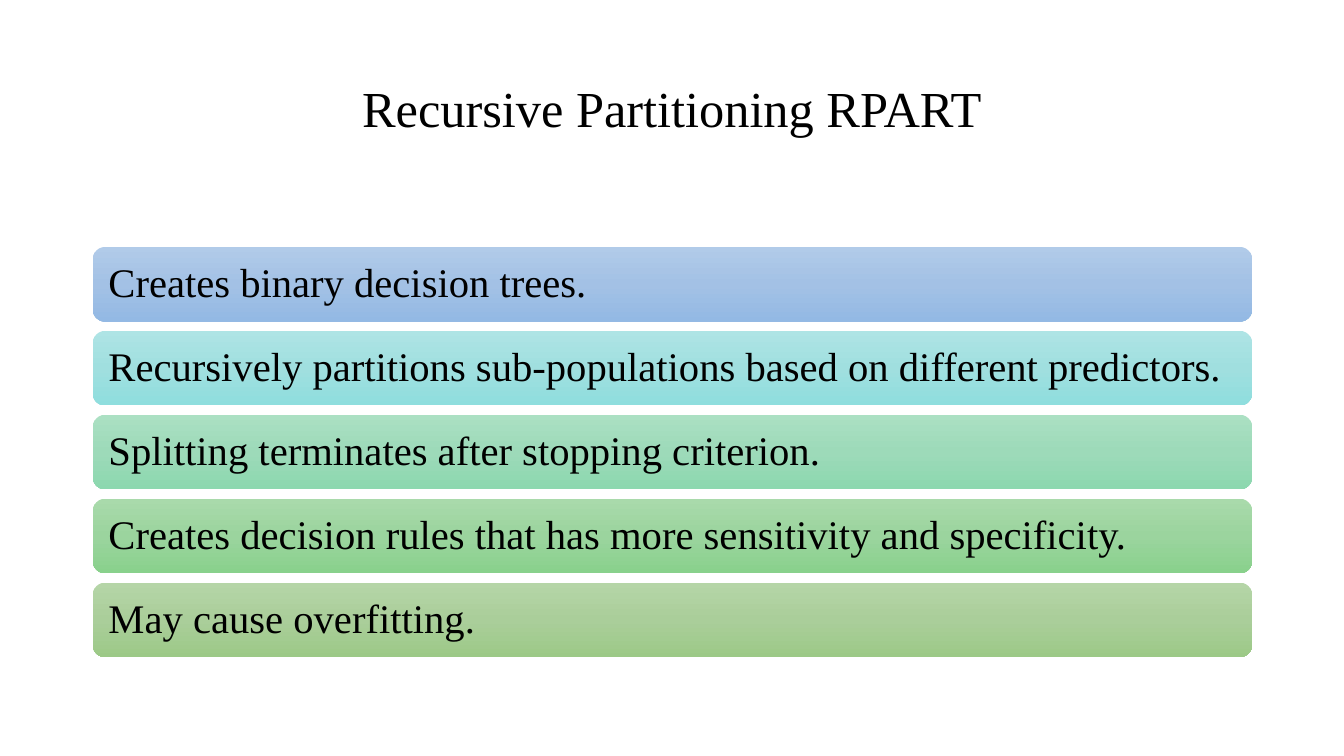
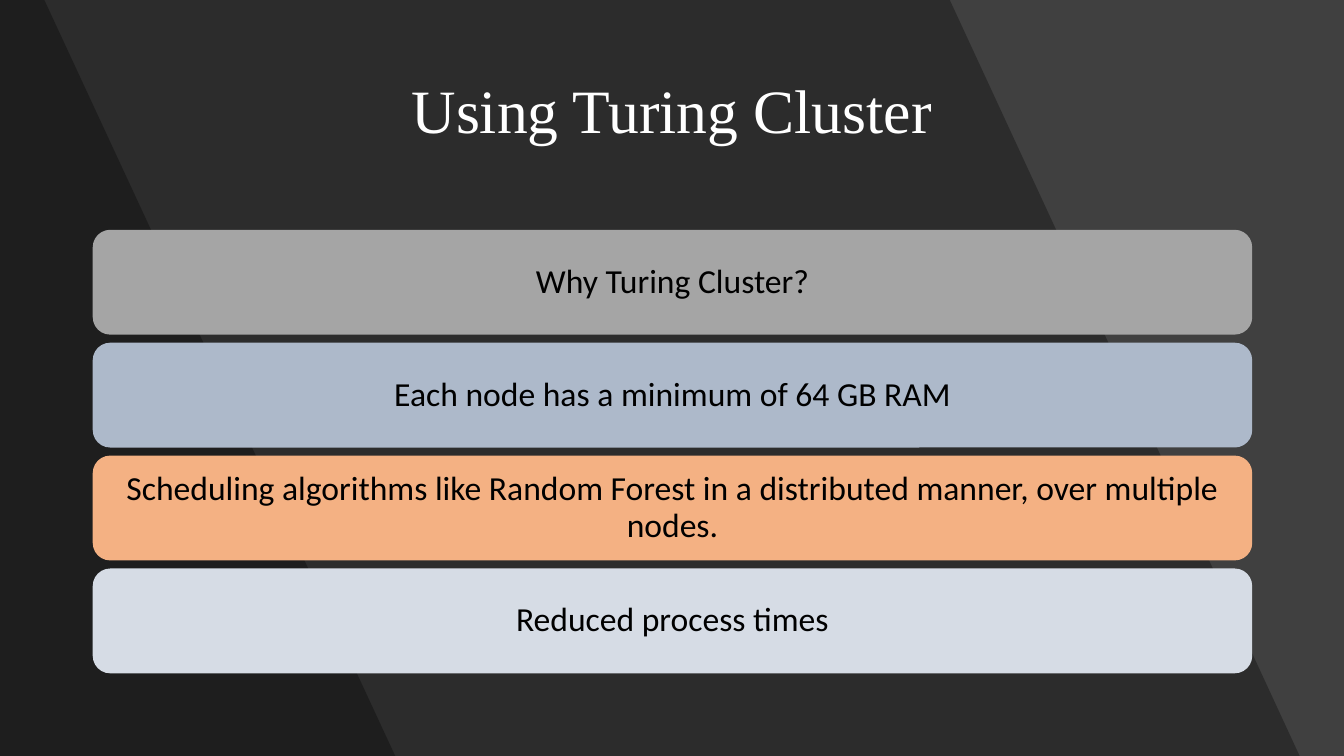
from copy import deepcopy

from lxml.etree import SubElement
from pptx import Presentation
from pptx.dml.color import RGBColor
from pptx.enum.shapes import MSO_SHAPE
from pptx.enum.text import MSO_ANCHOR, MSO_AUTO_SIZE, PP_ALIGN
from pptx.oxml.ns import qn
from pptx.util import Inches, Pt

BLACK, WHITE, CHARCOAL = "000000", "FFFFFF", "404040"
TITLE_ONLY = 5


def rgb(hex_color):
    return RGBColor.from_string(hex_color)


class Deck:
    """Holds the shared style, the presentation and the current slide."""

    SERIF, SANS = "Times New Roman", "Calibri"
    BAR_LEFT, BAR_WIDTH = 0.92, 11.5
    LINE_SPACING = 0.9

    def __init__(self):
        self.presentation = Presentation()
        self.presentation.slide_width = Inches(13.33)
        self.presentation.slide_height = Inches(7.5)
        self.slide = None

    def add_slide(self, background):
        layout = self.presentation.slide_layouts[TITLE_ONLY]
        self.slide = self.presentation.slides.add_slide(layout)
        fill = self.slide.background.fill
        fill.solid()
        fill.fore_color.rgb = rgb(background)

    def set_text(self, shape, text, font, size, color, align):
        frame = shape.text_frame
        frame.text = text
        frame.word_wrap = True
        frame.auto_size = MSO_AUTO_SIZE.NONE
        frame.vertical_anchor = MSO_ANCHOR.MIDDLE
        paragraph = frame.paragraphs[0]
        paragraph.alignment = align
        paragraph.line_spacing = self.LINE_SPACING
        run_font = paragraph.runs[0].font
        run_font.name = font
        run_font.size = Pt(size)
        run_font.color.rgb = rgb(color)

    def title(self, text, top, size, color):
        """Fill the title placeholder and bring it in front of what is drawn so far."""
        title = self.slide.shapes.title
        title.left, title.top = Inches(0.91), Inches(top)
        title.width, title.height = Inches(11.51), Inches(1.45)
        self.set_text(title, text, self.SERIF, size, color, PP_ALIGN.CENTER)
        self.slide.shapes._spTree.append(title._element)

    def shade(self, top_right, bottom_right, opacity=30):
        """Darken the slide from its left edge to a slanted right edge."""
        bottom = Inches(7.5)
        builder = self.slide.shapes.build_freeform(0, 0)
        builder.add_line_segments([
            (Inches(top_right), 0), (Inches(bottom_right), bottom), (0, bottom)])
        band = builder.convert_to_shape()
        band.shadow.inherit = False
        band.line.fill.background()
        band.fill.solid()
        band.fill.fore_color.rgb = rgb(BLACK)
        color = band._element.spPr.find(".//" + qn("a:srgbClr"))
        SubElement(color, qn("a:alpha")).set("val", str(opacity * 1000))

    def paint(self, shape, colors):
        """Fill with one colour, or with a downward gradient of three."""
        fill = shape.fill
        if len(colors) == 1:
            fill.solid()
            fill.fore_color.rgb = rgb(colors[0])
            return
        fill.gradient()
        fill.gradient_angle = 270
        stop_list = shape._element.spPr.find(".//" + qn("a:gsLst"))
        stop_list.append(deepcopy(stop_list[-1]))
        for stop, position, color in zip(fill.gradient_stops, (0, 0.5, 1), colors):
            stop.position = position
            stop.color.rgb = rgb(color)

    def bars(self, items, first_top, last_top, height, inset, font, size, align):
        """Stack (text, colours) bars evenly between the first and last top."""
        pitch = (last_top - first_top) / (len(items) - 1)
        for index, (text, colors) in enumerate(items):
            bar = self.slide.shapes.add_shape(
                MSO_SHAPE.ROUNDED_RECTANGLE, Inches(self.BAR_LEFT),
                Inches(first_top + index * pitch), Inches(self.BAR_WIDTH), Inches(height))
            bar.shadow.inherit = False
            bar.line.fill.background()
            self.paint(bar, colors)
            self.set_text(bar, text, font, size, BLACK, align)
            frame = bar.text_frame
            frame.margin_left = frame.margin_right = Inches(inset)
            frame.margin_top = frame.margin_bottom = Inches(inset)


def recursive_partitioning(deck):
    deck.add_slide(WHITE)
    deck.title("Recursive Partitioning RPART", 0.38, 36, BLACK)
    traits = [
        ("Creates binary decision trees.", ("B1CBE9", "A3C1E5", "93B9E4")),
        ("Recursively partitions sub-populations based on different predictors.",
         ("AEE4E5", "A0DFDF", "8FDEDE")),
        ("Splitting terminates after stopping criterion.", ("ABE0C3", "9DDAB9", "8CD8AF")),
        ("Creates decision rules that has more sensitivity and specificity.",
         ("A9DAAB", "9BD49E", "89D18C")),
        ("May cause overfitting.", ("B5D5A7", "AACE9A", "9CC987")),
    ]
    deck.bars(traits, 2.45, 5.78, 0.74, 0.12, deck.SERIF, 29, PP_ALIGN.LEFT)


def turing_cluster(deck):
    deck.add_slide(CHARCOAL)
    deck.shade(9.42, 12.89)
    deck.shade(0.44, 3.92)
    deck.title("Using Turing Cluster", 0.4, 44, WHITE)
    reasons = [
        ("Why Turing Cluster?", ("A5A5A5",)),
        ("Each node has a minimum of 64 GB RAM", ("ADB9CA",)),
        ("Scheduling algorithms like Random Forest in a distributed manner, "
         "over multiple nodes.", ("F4B183",)),
        ("Reduced process times", ("D6DCE5",)),
    ]
    deck.bars(reasons, 2.28, 5.64, 1.04, 0.1, deck.SANS, 24, PP_ALIGN.CENTER)


def main():
    deck = Deck()
    recursive_partitioning(deck)
    turing_cluster(deck)
    deck.presentation.save("out.pptx")


if __name__ == "__main__":
    main()
